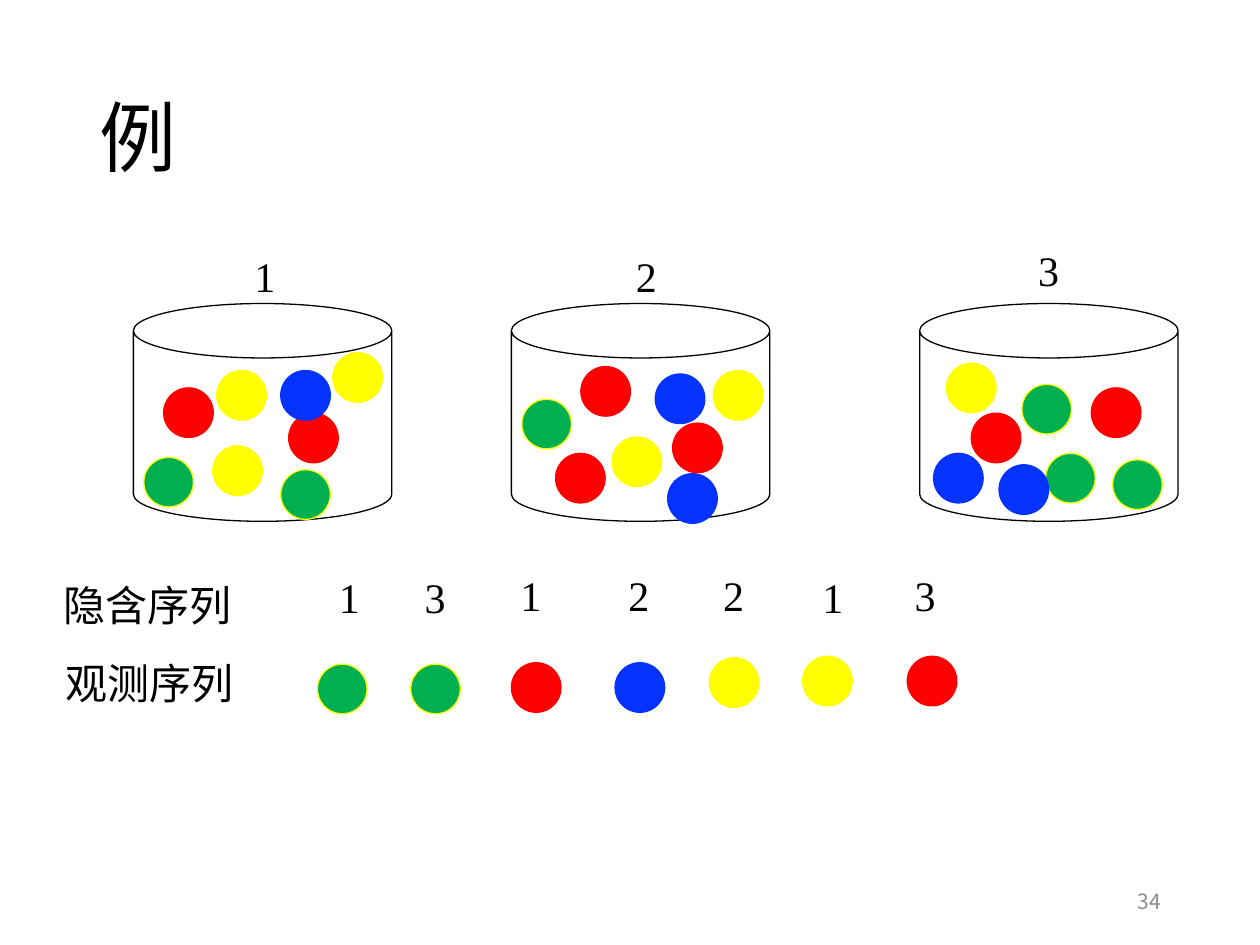
"""Build the slide of three urns with coloured balls and their hidden and observed sequences."""
from dataclasses import dataclass

from lxml import etree
from pptx import Presentation
from pptx import util as u
from pptx.dml.color import RGBColor
from pptx.enum import shapes, text
from pptx.oxml import ns
from pptx.slide import Slide

BLACK = RGBColor(0x00, 0x00, 0x00)
WHITE = RGBColor(0xFF, 0xFF, 0xFF)
GRAY = RGBColor(0x8C, 0x8C, 0x8C)
RED = RGBColor(0xFF, 0x00, 0x00)
YELLOW = RGBColor(0xFF, 0xFF, 0x00)
GREEN = RGBColor(0x00, 0xB0, 0x50)
BLUE = RGBColor(0x04, 0x32, 0xFF)

SANS = "Noto Sans CJK SC"
SERIF = "Times New Roman"
BALL_SIZE = 1.0
URN_TOP, URN_WIDTH, URN_HEIGHT = 6.12, 5.21, 4.39


@dataclass(frozen=True)
class Label:
    content: str
    left: float
    top: float
    width: float = 0.94
    height: float = 1.27
    size: int = 24
    font: str = SERIF
    color: RGBColor = BLACK
    align: text.PP_ALIGN = text.PP_ALIGN.LEFT
    anchor: text.MSO_ANCHOR = text.MSO_ANCHOR.TOP
    wrap: bool = False
    spacing: float = 1.0


@dataclass(frozen=True)
class Ball:
    color: RGBColor
    left: float
    top: float


URN_LEFTS = (2.69, 10.31, 18.54)

URN_BALLS = {
    RED: ((3.3, 7.82), (5.82, 8.33), (11.71, 7.39), (11.2, 9.14),
          (13.56, 8.53), (19.58, 8.33), (22.0, 7.82)),
    YELLOW: ((4.29, 8.99), (6.71, 7.11), (4.37, 7.47), (12.34, 8.81),
             (14.38, 7.47), (19.08, 7.32)),
    GREEN: ((21.08, 9.14), (22.43, 9.27), (20.6, 7.75), (10.52, 8.05),
            (5.66, 9.47), (2.9, 9.22)),
    BLUE: ((5.66, 7.47), (13.21, 7.54), (18.82, 9.14), (13.46, 9.55),
           (20.14, 9.37)),
}

OBSERVED_BALLS = (
    Ball(GREEN, 6.4, 13.39),
    Ball(GREEN, 8.28, 13.39),
    Ball(RED, 10.31, 13.36),
    Ball(BLUE, 12.4, 13.36),
    Ball(YELLOW, 14.3, 13.26),
    Ball(YELLOW, 16.18, 13.23),
    Ball(RED, 18.29, 13.23),
)

LABELS = (
    Label("例", 1.75, 1.02, 21.89, 3.68, size=44, font=SANS,
          anchor=text.MSO_ANCHOR.MIDDLE, wrap=True, spacing=0.9),
    Label("34", 17.93, 17.65, 5.72, 1.02, size=12, font=SANS, color=GRAY,
          align=text.PP_ALIGN.RIGHT, anchor=text.MSO_ANCHOR.MIDDLE, wrap=True),
    Label("1", 4.88, 4.93),
    Label("2", 12.57, 4.93),
    Label("3", 20.68, 4.8),
    Label("隐含序列", 1.04, 11.56, 4.09),
    Label("1", 6.58, 11.4, 1.14),
    Label("3", 8.31, 11.4),
    Label("1", 10.24, 11.35, 1.14),
    Label("2", 12.42, 11.35),
    Label("2", 14.33, 11.35, 1.14),
    Label("1", 16.33, 11.4, 1.14),
    Label("3", 18.19, 11.35, 1.14),
    Label("观测序列", 1.07, 13.13, 4.09),
)


def draw_shape(slide: Slide, kind: shapes.MSO_SHAPE, left: float, top: float,
               width: float, height: float, fill: RGBColor, line: RGBColor) -> None:
    shape = slide.shapes.add_shape(kind, u.Cm(left), u.Cm(top), u.Cm(width), u.Cm(height))
    shape.shadow.inherit = False
    shape.fill.solid()
    shape.fill.fore_color.rgb = fill
    shape.line.color.rgb = line
    shape.line.width = u.Pt(0.75)


def draw_urn(slide: Slide, left: float) -> None:
    draw_shape(slide, shapes.MSO_SHAPE.CAN, left, URN_TOP, URN_WIDTH, URN_HEIGHT, WHITE, BLACK)


def draw_ball(slide: Slide, ball: Ball) -> None:
    outline = YELLOW if ball.color == GREEN else ball.color
    draw_shape(slide, shapes.MSO_SHAPE.OVAL, ball.left, ball.top,
               BALL_SIZE, BALL_SIZE, ball.color, outline)


def draw_label(slide: Slide, label: Label) -> None:
    box = slide.shapes.add_textbox(u.Cm(label.left), u.Cm(label.top),
                                   u.Cm(label.width), u.Cm(label.height))
    frame = box.text_frame
    frame.word_wrap = label.wrap
    frame.vertical_anchor = label.anchor
    if not label.wrap:
        frame.auto_size = text.MSO_AUTO_SIZE.SHAPE_TO_FIT_TEXT
    paragraph = frame.paragraphs[0]
    paragraph.alignment = label.align
    paragraph.line_spacing = label.spacing
    run = paragraph.add_run()
    run.text = label.content
    run.font.size = u.Pt(label.size)
    run.font.name = label.font
    run.font.color.rgb = label.color
    etree.SubElement(run.font._element, ns.qn("a:ea"), typeface=SANS)


def main() -> None:
    presentation = Presentation()
    presentation.slide_width = u.Cm(25.4)
    presentation.slide_height = u.Cm(19.05)
    slide = presentation.slides.add_slide(presentation.slide_layouts[6])
    for left in URN_LEFTS:
        draw_urn(slide, left)
    for color, positions in URN_BALLS.items():
        for left, top in positions:
            draw_ball(slide, Ball(color, left, top))
    for ball in OBSERVED_BALLS:
        draw_ball(slide, ball)
    for label in LABELS:
        draw_label(slide, label)
    presentation.save("out.pptx")


if __name__ == "__main__":
    main()
